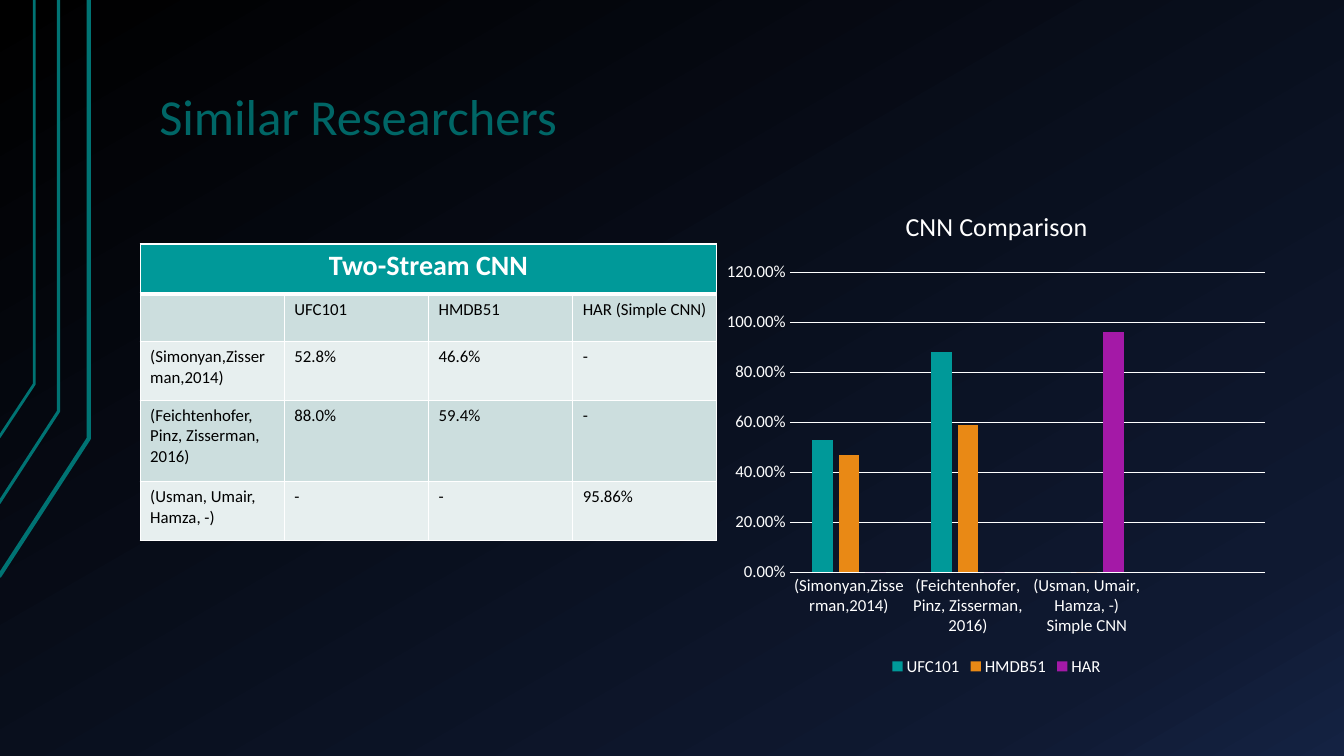
import copy

import pptx
import pptx.chart.data
import pptx.dml.color
import pptx.enum.chart
import pptx.enum.text
import pptx.oxml
import pptx.oxml.ns
import pptx.util

RGBColor = pptx.dml.color.RGBColor
Inches = pptx.util.Inches
Pt = pptx.util.Pt
qn = pptx.oxml.ns.qn

FONT = "Calibri"
WHITE = RGBColor(0xFF, 0xFF, 0xFF)
BLACK = RGBColor(0, 0, 0)
TEAL = RGBColor(0x00, 0x99, 0x99)
TITLE_TEAL = RGBColor(0x00, 0x66, 0x66)
LINE_TEAL = RGBColor(0x00, 0x73, 0x73)
ORANGE = RGBColor(0xE9, 0x89, 0x15)
PURPLE = RGBColor(0xA4, 0x19, 0xA7)
BANDS = (RGBColor(0xCC, 0xDE, 0xDE), RGBColor(0xE7, 0xEF, 0xEF))
NIGHT = ((0, BLACK), (0.85, RGBColor(0x0F, 0x19, 0x31)), (1, RGBColor(0x14, 0x22, 0x42)))

WIDTH, HEIGHT = 13.33, 7.5
RAIL_START = -0.01
RAILS = ((0.88, 4.35, 5.72, 3), (0.58, 4.08, 4.99, 2.25), (0.34, 3.81, 4.34, 2))
TITLE_BOX = (1.45, 0.78, 11.33, 0.74)
TABLE_BOX = (1.39, 2.42, 5.72, 2.96)
CHART_BOX = (7.11, 1.87, 5.55, 4.88)

TABLE_TITLE = "Two-Stream CNN"
ROW_HEIGHTS = (0.5, 0.47, 0.58, 0.81, 0.58)
ROWS = (
    ("", "UFC101", "HMDB51", "HAR (Simple CNN)"),
    ("(Simonyan,Zisserman,2014)", "52.8%", "46.6%", "-"),
    ("(Feichtenhofer, Pinz, Zisserman, 2016)", "88.0%", "59.4%", "-"),
    ("(Usman, Umair, Hamza, -)", "-", "-", "95.86%"),
)
CATEGORIES = (ROWS[1][0], ROWS[2][0], "(Usman, Umair, Hamza, -) Simple CNN", "")
SERIES = (
    ("UFC101", (0.53, 0.88, 0, None), TEAL),
    ("HMDB51", (0.47, 0.59, 0, None), ORANGE),
    ("HAR", (0, 0, 0.96, None), PURPLE),
)
PLOT_SHARES = {"x": 0.13, "y": 0.17, "w": 0.85, "h": 0.61}


def style_font(font, size, color, bold=False):
    """Set the typeface, size, colour and weight of a font."""
    font.name, font.size, font.bold = FONT, Pt(size), bold
    font.color.rgb = color


def add_span(para, text, size, color, bold=False):
    """Append one styled run to a paragraph."""
    span = para.add_run()
    span.text = text
    style_font(span.font, size, color, bold)


def paint_background(page):
    """Fill the page with the dark diagonal gradient."""
    fill = page.background.fill
    fill.gradient()
    fill.gradient_angle = 300
    stops = page.element.find(".//" + qn("a:gsLst"))
    stops.append(copy.deepcopy(stops[-1]))
    for stop, (position, color) in zip(fill.gradient_stops, NIGHT):
        stop.position = position
        stop.color.rgb = color


def draw_rails(page):
    """Draw the bent lines that run down the left edge."""
    for x, bend, foot, weight in RAILS:
        builder = page.shapes.build_freeform(Inches(RAIL_START), Inches(foot))
        builder.add_line_segments([(Inches(x), Inches(bend)), (Inches(x), 0)], close=False)
        rail = builder.convert_to_shape()
        rail.shadow.inherit = False
        rail.fill.background()
        rail.line.color.rgb = LINE_TEAL
        rail.line.width = Pt(weight)


def add_title(page, box):
    """Place the page heading at the bottom of its box."""
    frame = page.shapes.add_textbox(*map(Inches, box)).text_frame
    frame.word_wrap = True
    frame.vertical_anchor = pptx.enum.text.MSO_ANCHOR.BOTTOM
    frame.margin_left = frame.margin_right = Inches(0.13)
    frame.margin_top = frame.margin_bottom = Inches(0.07)
    frame.paragraphs[0].line_spacing = 0.9
    add_span(frame.paragraphs[0], "Similar Researchers", 36, TITLE_TEAL)


def style_cell(cell, color, top, bottom):
    """Give a cell white borders and a solid fill."""
    properties = cell._tc.get_or_add_tcPr()
    for side, weight in (("L", 1), ("R", 1), ("T", top), ("B", bottom)):
        properties.append(pptx.oxml.parse_xml(
            f'<a:ln{side} xmlns:a="http://schemas.openxmlformats.org/drawingml/2006/main" '
            f'w="{Pt(weight)}"><a:solidFill><a:srgbClr val="{WHITE}"/></a:solidFill></a:ln{side}>'))
    cell.fill.solid()
    cell.fill.fore_color.rgb = color


def add_results_table(page, box):
    """Build the accuracy table under one merged heading."""
    columns = len(ROWS[0])
    table = page.shapes.add_table(len(ROWS) + 1, columns, *map(Inches, box)).table
    for column in table.columns:
        column.width = Inches(box[2] / columns)
    for row, height in zip(table.rows, ROW_HEIGHTS):
        row.height = Inches(height)
    for index in range(columns):
        style_cell(table.cell(0, index), TEAL, 1, 3)
    heading = table.cell(0, 0)
    heading.merge(table.cell(0, columns - 1))
    para = heading.text_frame.paragraphs[0]
    para.alignment = pptx.enum.text.PP_ALIGN.CENTER
    add_span(para, TABLE_TITLE, 20, WHITE, True)
    for number, texts in enumerate(ROWS):
        for index, text in enumerate(texts):
            cell = table.cell(number + 1, index)
            style_cell(cell, BANDS[number % 2], 1 if number else 3, 1)
            if text:
                add_span(cell.text_frame.paragraphs[0], text, 12, BLACK)


def place_plot(chart):
    """Fix the inner plot area at its shares of the chart."""
    area = chart._chartSpace.chart.plotArea
    for old in area.findall(qn("c:layout")):
        area.remove(old)
    modes = '<c:layoutTarget val="inner"/><c:xMode val="edge"/><c:yMode val="edge"/>'
    shares = "".join(f'<c:{key} val="{value}"/>' for key, value in PLOT_SHARES.items())
    area.insert(0, pptx.oxml.parse_xml(
        '<c:layout xmlns:c="http://schemas.openxmlformats.org/drawingml/2006/chart">'
        f"<c:manualLayout>{modes}{shares}</c:manualLayout></c:layout>"))


def style_axes(chart):
    """Set the fonts, lines and scale of both axes."""
    for axis in (chart.category_axis, chart.value_axis):
        axis.major_tick_mark = axis.minor_tick_mark = pptx.enum.chart.XL_TICK_MARK.NONE
        style_font(axis.tick_labels.font, 12, WHITE)
    values = chart.value_axis
    values.minimum_scale, values.maximum_scale, values.major_unit = 0, 1.2, 0.2
    values.tick_labels.number_format = "0.00%"
    values.tick_labels.number_format_is_linked = False
    values.format.line.fill.background()
    for line in (chart.category_axis.format.line, values.major_gridlines.format.line):
        line.color.rgb = WHITE
        line.width = Pt(0.75)


def add_comparison_chart(page, box):
    """Build the clustered columns that compare the networks."""
    data = pptx.chart.data.CategoryChartData(number_format="0.00%")
    data.categories = CATEGORIES
    for name, values, _ in SERIES:
        data.add_series(name, values)
    kind = pptx.enum.chart.XL_CHART_TYPE.COLUMN_CLUSTERED
    chart = page.shapes.add_chart(kind, *map(Inches, box), data).chart
    style_font(chart.font, 10, WHITE)
    chart.has_title = True
    add_span(chart.chart_title.text_frame.paragraphs[0], "CNN Comparison", 18.6, WHITE)
    chart.chart_title.include_in_layout = False
    chart.has_legend = True
    chart.legend.position = pptx.enum.chart.XL_LEGEND_POSITION.BOTTOM
    chart.legend.include_in_layout = False
    style_font(chart.legend.font, 12, WHITE)
    plot = chart.plots[0]
    plot.gap_width, plot.overlap, plot.vary_by_categories = 219, -27, False
    for series, (_, _, color) in zip(plot.series, SERIES):
        series.format.fill.solid()
        series.format.fill.fore_color.rgb = color
    style_axes(chart)
    place_plot(chart)


def main():
    """Build the one-page deck and save it."""
    deck = pptx.Presentation()
    deck.slide_width, deck.slide_height = Inches(WIDTH), Inches(HEIGHT)
    page = deck.slides.add_slide(deck.slide_layouts[6])
    paint_background(page)
    draw_rails(page)
    add_title(page, TITLE_BOX)
    add_results_table(page, TABLE_BOX)
    add_comparison_chart(page, CHART_BOX)
    deck.save("out.pptx")


if __name__ == "__main__":
    main()
